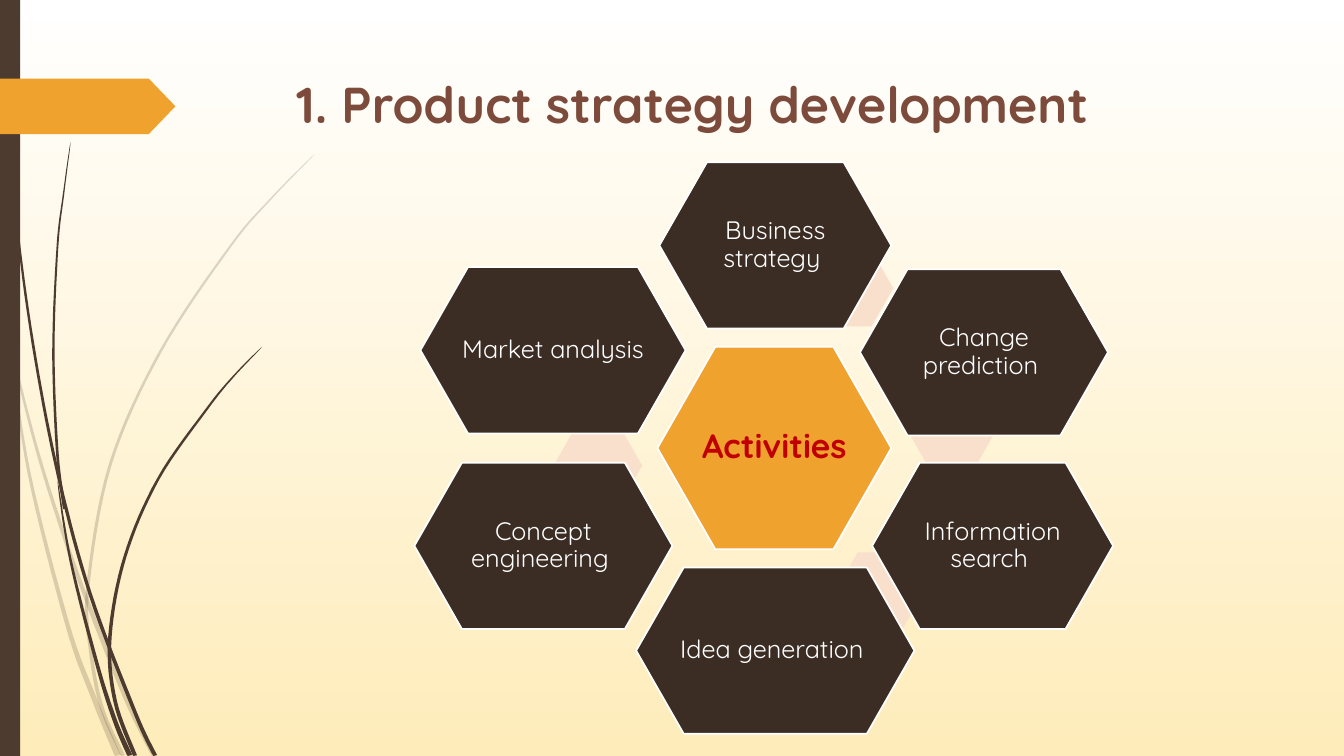
from dataclasses import dataclass
from math import hypot

from lxml.etree import SubElement
from pptx import Presentation
from pptx.dml.color import RGBColor
from pptx.enum.shapes import MSO_SHAPE as Shape
from pptx.enum.text import MSO_ANCHOR as Anchor, MSO_AUTO_SIZE as AutoSize, PP_ALIGN as Align
from pptx.oxml.ns import qn
from pptx.util import Inches, Pt

Point = tuple[float, float]
UNITS_PER_INCH = 1000


@dataclass(frozen=True)
class Theme:
    font: str = "Quicksand"
    brown: str = "4E3B30"
    dark: str = "3B2C24"
    orange: str = "F0A22E"
    pale: str = "F9E0CD"
    title: str = "7C4B3B"
    red: str = "C00000"
    white: str = "FFFFFF"
    cream: str = "FEECBA"
    title_size: int = 36
    hub_size: int = 24
    label_size: int = 18
    outline: float = 1.25


@dataclass(frozen=True)
class Hexagon:
    left: float
    top: float
    width: float
    height: float = 1.65
    label: str = ""


@dataclass(frozen=True)
class Blade:
    """A blade of grass: points along its middle, from tip to root."""
    points: tuple[Point, ...]
    width: float
    opacity: int = 100


THEME = Theme()

BLADES = (
    Blade(((0, 2.9), (0.13, 3.52), (0.35, 4.4), (0.6, 5.21), (0.86, 5.95),
           (1.25, 6.93), (1.53, 7.5)), 0.05, 20),
    Blade(((0.11, 3.5), (0.29, 4.7), (0.67, 6.2), (0.93, 6.92), (1.17, 7.5)), 0.06, 20),
    Blade(((3.12, 1.53), (2.68, 1.98), (2.28, 2.45), (1.59, 3.49), (1.09, 4.62),
           (0.87, 5.84), (0.9, 6.46), (1.01, 7.02), (1.22, 7.5)), 0.04, 20),
    Blade(((0.04, 0), (0.08, 1.1), (0.18, 2.33), (0.35, 3.55), (0.59, 4.77),
           (0.9, 5.91), (1.34, 7.07), (1.54, 7.5)), 0.04),
    Blade(((0.57, 4.77), (0.7, 5.56), (0.96, 6.58), (1.14, 7.15), (1.29, 7.5)), 0.05),
    Blade(((0.7, 1.41), (0.63, 1.93), (0.57, 2.45), (0.53, 3.49), (0.57, 4.51),
           (0.64, 5.05)), 0.03),
    Blade(((2.6, 3.44), (2.31, 3.74), (2.05, 4.06), (1.57, 4.75), (1.24, 5.52),
           (1.09, 6.32), (1.14, 6.95), (1.34, 7.5)), 0.04),
)

LINKS = (
    Hexagon(7.98, 2.48, 0.88, 0.76),
    Hexagon(9, 3.89, 0.88, 0.76),
    Hexagon(8.29, 5.48, 0.88, 0.76),
    Hexagon(5.49, 4.24, 0.88, 0.76),
)

HUB = Hexagon(6.52, 3.44, 2.32, 2.01, "Activities")

ACTIVITIES = (
    Hexagon(6.54, 1.61, 2.3, label="Business strategy "),
    Hexagon(8.53, 2.67, 2.46, label="Change prediction "),
    Hexagon(8.65, 4.59, 2.39, label="Information search "),
    Hexagon(6.31, 5.63, 2.76, label="Idea generation "),
    Hexagon(4.11, 4.59, 2.56, label="Concept engineering "),
    Hexagon(4.17, 2.65, 2.63, label="Market analysis "),
)


def paint(sp, fill: str, line: str | None = None) -> None:
    sp.shadow.inherit = False
    sp.fill.solid()
    sp.fill.fore_color.rgb = RGBColor.from_string(fill)
    if line:
        sp.line.color.rgb = RGBColor.from_string(line)
        sp.line.width = Pt(THEME.outline)
    else:
        sp.line.fill.background()


def add_run(p, text: str, size: int, color: str, bold: bool = False) -> None:
    r = p.add_run()
    r.text = text
    r.font.name = THEME.font
    r.font.size = Pt(size)
    r.font.bold = bold
    r.font.color.rgb = RGBColor.from_string(color)


def add_preset(s, kind, left: float, top: float, width: float, height: float):
    return s.shapes.add_shape(kind, Inches(left), Inches(top), Inches(width), Inches(height))


def smooth_path(points: tuple[Point, ...], steps: int = 8) -> list[Point]:
    """Catmull-Rom curve through the points."""
    padded = (points[0], *points, points[-1])
    path = []
    for a, b, c, d in zip(padded, padded[1:], padded[2:], padded[3:]):
        for i in range(steps):
            t = i / steps
            x, y = (
                (2 * q + (r - p) * t + (2 * p - 5 * q + 4 * r - u) * t ** 2
                 + (3 * q - p - 3 * r + u) * t ** 3) / 2
                for p, q, r, u in zip(a, b, c, d)
            )
            path.append((x, y))
    return path + [points[-1]]


def add_blade(s, blade: Blade) -> None:
    path = smooth_path(blade.points)
    last = len(path) - 1
    left_side, right_side = [], []
    for i, (x, y) in enumerate(path):
        (x0, y0), (x1, y1) = path[max(i - 1, 0)], path[min(i + 1, last)]
        half = blade.width / 2 * (i / last) ** 0.5 / hypot(x1 - x0, y1 - y0)
        dx, dy = (y1 - y0) * half, (x0 - x1) * half
        left_side.append((max(x + dx, 0), min(y + dy, 7.5)))
        right_side.append((max(x - dx, 0), min(y - dy, 7.5)))
    outline = [(x * UNITS_PER_INCH, y * UNITS_PER_INCH)
               for x, y in left_side + right_side[::-1]]
    builder = s.shapes.build_freeform(*outline[0], scale=Inches(1) / UNITS_PER_INCH)
    builder.add_line_segments(outline[1:])
    sp = builder.convert_to_shape()
    paint(sp, THEME.brown)
    if blade.opacity < 100:
        color = sp.fill._xPr.find(qn("a:solidFill"))[0]
        SubElement(color, qn("a:alpha")).set("val", str(blade.opacity * 1000))


def add_hexagon(s, item: Hexagon, fill: str, line: str | None = None,
                size: int = THEME.label_size, color: str = THEME.white,
                bold: bool = False) -> None:
    sp = add_preset(s, Shape.HEXAGON, item.left, item.top, item.width, item.height)
    sp.adjustments[0] = 0.286
    paint(sp, fill, line)
    if item.label:
        tf = sp.text_frame
        tf.word_wrap = True
        tf.vertical_anchor = Anchor.MIDDLE
        tf.margin_left = tf.margin_right = tf.margin_top = tf.margin_bottom = Inches(0.02)
        p = tf.paragraphs[0]
        p.alignment = Align.CENTER
        p.line_spacing = 0.9
        add_run(p, item.label, size, color, bold)


def set_background(s) -> None:
    fill = s.background.fill
    fill.gradient()
    fill.gradient_angle = 270
    for stop, color, position in zip(fill.gradient_stops, (THEME.white, THEME.cream), (0, 1)):
        stop.color.rgb = RGBColor.from_string(color)
        stop.position = position


def set_title(s, text: str) -> None:
    title = s.shapes.title
    title.left, title.top = Inches(2.84), Inches(0.68)
    title.width, title.height = Inches(9.75), Inches(1.4)
    tf = title.text_frame
    tf.auto_size = AutoSize.NONE
    tf.vertical_anchor = Anchor.TOP
    p = tf.paragraphs[0]
    p.alignment = Align.LEFT
    add_run(p, text, THEME.title_size, THEME.title, True)


def main() -> None:
    prs = Presentation()
    prs.slide_width, prs.slide_height = Inches(13.33), Inches(7.5)
    s = prs.slides.add_slide(prs.slide_layouts[5])
    set_background(s)
    set_title(s, "1. Product strategy development")
    for blade in BLADES:
        add_blade(s, blade)
    paint(add_preset(s, Shape.RECTANGLE, 0, 0, 0.2, 7.5), THEME.brown)
    tab = add_preset(s, Shape.PENTAGON, 0, 0.78, 1.74, 0.55)
    tab.adjustments[0] = 0.48
    paint(tab, THEME.orange)
    add_hexagon(s, HUB, THEME.orange, THEME.white, THEME.hub_size, THEME.red, True)
    for link in LINKS:
        add_hexagon(s, link, THEME.pale)
    for activity in ACTIVITIES:
        add_hexagon(s, activity, THEME.dark, THEME.white)
    prs.save("out.pptx")


if __name__ == "__main__":
    main()
